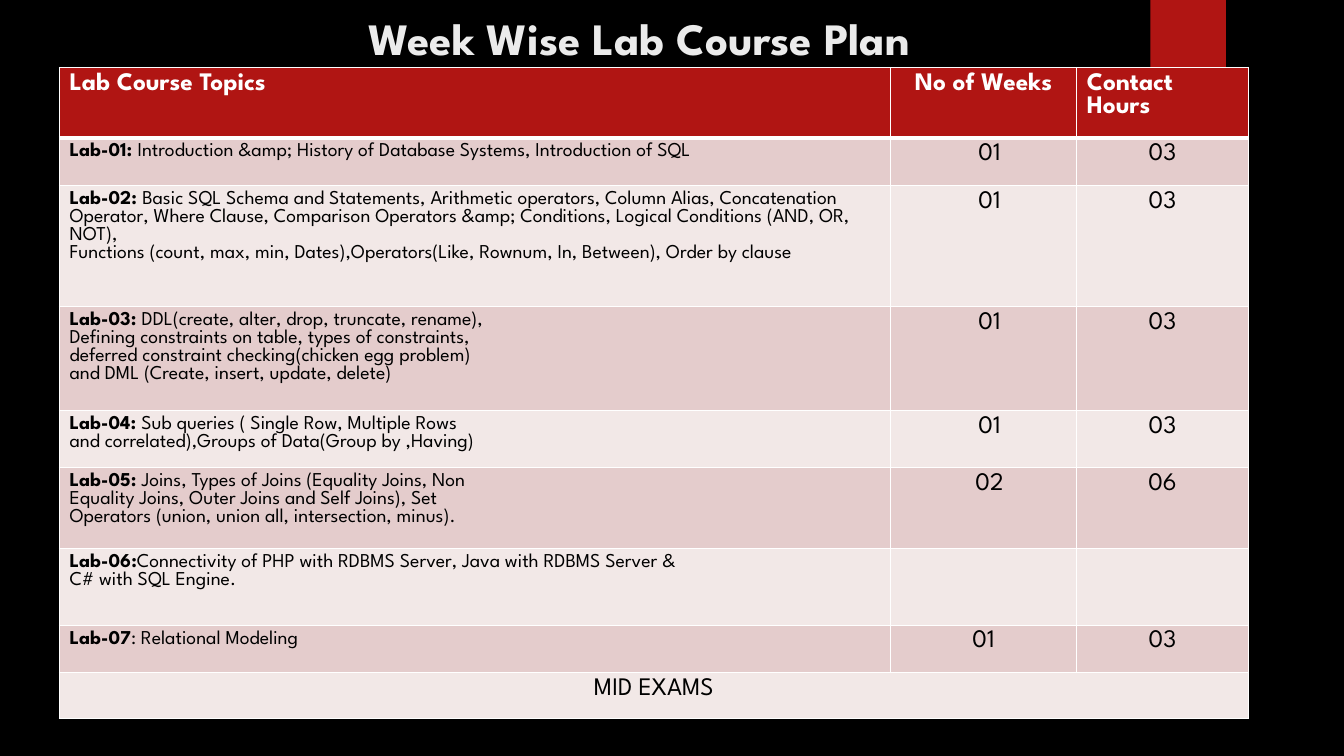
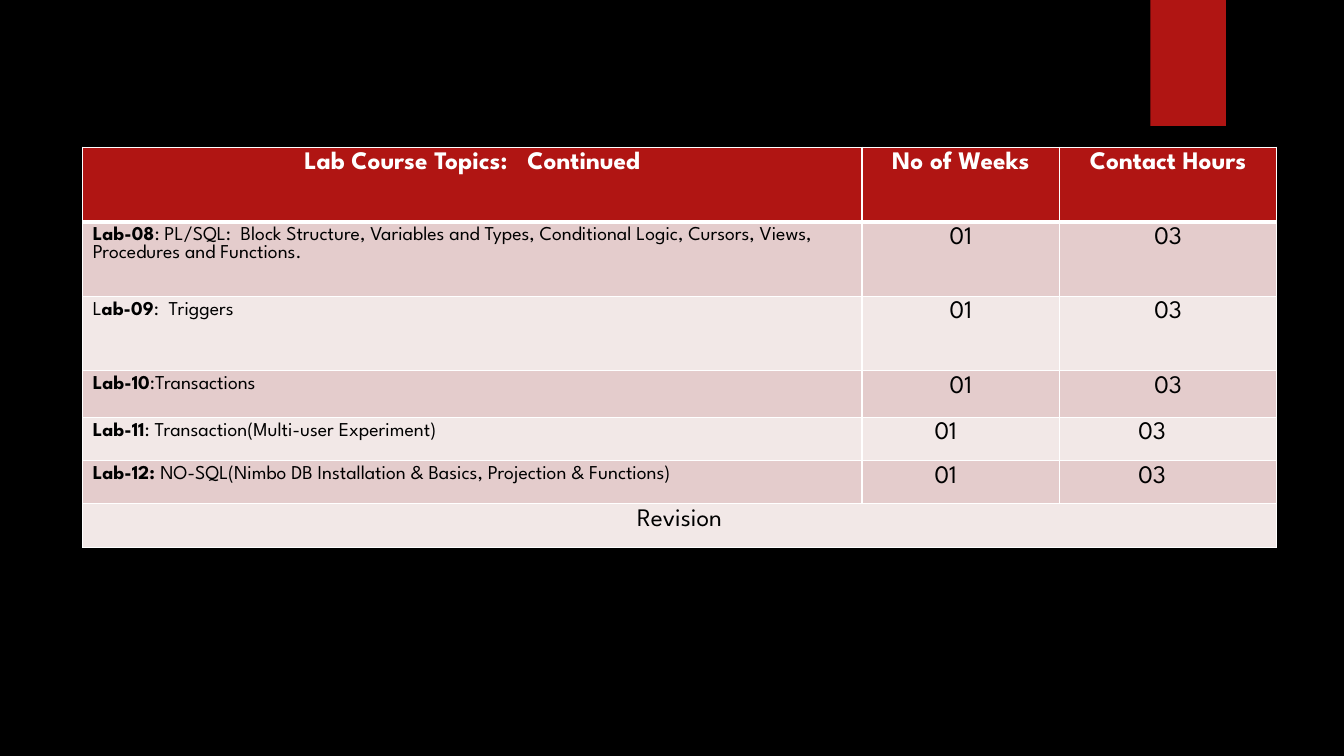
from dataclasses import dataclass

from lxml.etree import SubElement
from pptx import Presentation
from pptx.dml.color import RGBColor
from pptx.enum.shapes import MSO_SHAPE
from pptx.enum.text import MSO_ANCHOR, PP_ALIGN
from pptx.oxml.ns import qn
from pptx.util import Inches, Pt

# Shared look
FONT = "League Spartan"
BLACK, WHITE, RED, TITLE_GREY = "000000", "FFFFFF", "B01513", "EBEBEB"
BANDS = ("E4CCCC", "F2E8E7")
LEFT, CENTER = PP_ALIGN.LEFT, PP_ALIGN.CENTER
CELL_PAD = 0.1


@dataclass
class Lab:
    """One table row; ** in the topic switches bold on and off."""
    height: float
    topic: str
    weeks: str = ""
    hours: str = ""
    pads: tuple = (CELL_PAD, CELL_PAD)
    align: PP_ALIGN = CENTER


NUDGED = (0.22, CELL_PAD)    # weeks sit slightly right of centre
INDENTED = (0.72, 0.78)      # numbers indented from the left

FIRST_HALF = [
    Lab(0.47, "**Lab-01: **Introduction &amp; History of Database Systems, "
        "Introduction of SQL", "01", "03", NUDGED),
    Lab(1.2, "**Lab-02: **Basic SQL Schema and Statements, Arithmetic operators, "
        "Column Alias, Concatenation Operator, Where Clause, Comparison Operators "
        "&amp; Conditions, Logical Conditions (AND, OR, NOT),\n"
        "Functions (count, max, min, Dates),Operators(Like, Rownum, In, Between), "
        "Order by clause", "01", "03", NUDGED),
    Lab(0.98, "**Lab-03: **DDL(create, alter, drop, truncate, rename),\n"
        "Defining constraints on table, types of constraints,\n"
        "deferred constraint checking(chicken egg problem)\n"
        "and DML (Create, insert, update, delete)", "01", "03", NUDGED),
    Lab(0.54, "**Lab-04: **Sub queries ( Single Row, Multiple Rows\n"
        "and correlated),Groups of Data(Group by ,Having)", "01", "03", NUDGED),
    Lab(0.76, "**Lab-05: **Joins, Types of Joins (Equality Joins, Non\n"
        "Equality Joins, Outer Joins and Self Joins), Set\n"
        "Operators (union, union all, intersection, minus).", "02", "06", NUDGED),
    Lab(0.76, "**Lab-06:**Connectivity of PHP with RDBMS Server, "
        "Java with RDBMS Server &\nC# with SQL Engine."),
    Lab(0.47, "**Lab-07**: Relational Modeling", "01", "03"),
]
SECOND_HALF = [
    Lab(0.74, "**Lab-08**: PL/SQL:  Block Structure, Variables and Types, "
        "Conditional Logic, Cursors, Views, Procedures and Functions.", "01", "03"),
    Lab(0.74, "L**ab-09**:  Triggers", "01", "03"),
    Lab(0.46, "**Lab-10**:Transactions", "01", "03"),
    Lab(0.43, "**Lab-11**: Transaction(Multi-user Experiment)",
        "01", "03", INDENTED, LEFT),
    Lab(0.43, "**Lab-12: **NO-SQL(Nimbo DB Installation & Basics, "
        "Projection & Functions)", "01", "03", INDENTED, LEFT),
]


def rgb(color):
    return RGBColor.from_string(color)


def write(tf, text, size=18, color=BLACK, bold=False, align=LEFT):
    """Fill a text frame: newlines split paragraphs, ** toggles bold."""
    tf.word_wrap = True
    for i, line in enumerate(text.split("\n")):
        p = tf.paragraphs[0] if i == 0 else tf.add_paragraph()
        p.alignment = align
        for j, part in enumerate(line.split("**")):
            if part:
                r = p.add_run()
                r.text = part
                r.font.name, r.font.size = FONT, Pt(size)
                r.font.bold = bold or j % 2 == 1
                r.font.color.rgb = rgb(color)


def paint_cell(cell, fill, top=1, bottom=1):
    """White borders first, then the fill, as the schema orders them."""
    tc_pr = cell._tc.get_or_add_tcPr()
    for side, width in (("L", 1), ("R", 1), ("T", top), ("B", bottom)):
        ln = SubElement(tc_pr, qn(f"a:ln{side}"), w=str(Pt(width)))
        solid = SubElement(ln, qn("a:solidFill"))
        SubElement(solid, qn("a:srgbClr"), val=WHITE)
    cell.fill.solid()
    cell.fill.fore_color.rgb = rgb(fill)


def add_base_slide(prs):
    """Blank slide with the red ribbon."""
    s = prs.slides.add_slide(prs.slide_layouts[6])
    ribbon = s.shapes.add_shape(MSO_SHAPE.RECTANGLE, Inches(11.41), 0,
                                Inches(0.75), Inches(1.25))
    ribbon.shadow.inherit = False
    ribbon.fill.solid()
    ribbon.fill.fore_color.rgb = rgb(RED)
    ribbon.line.fill.background()
    return s


def add_title(s, text):
    sp = s.shapes.add_textbox(Inches(0.59), 0, Inches(11.5), Inches(0.74))
    sp.text_frame.vertical_anchor = MSO_ANCHOR.MIDDLE
    write(sp.text_frame, text, size=32, color=TITLE_GREY, bold=True, align=CENTER)


def add_plan(s, left, top, widths, header, header_height, labs, closing, closing_height):
    """Course table: header of (text, align), lab rows and a merged closing row."""
    heights = [header_height, *(lab.height for lab in labs), closing_height]
    table = s.shapes.add_table(len(heights), len(widths), Inches(left), Inches(top),
                               Inches(sum(widths)), Inches(sum(heights))).table
    for column, width in zip(table.columns, widths):
        column.width = Inches(width)
    for i, height in enumerate(heights):
        table.rows[i].height = Inches(height)
        for cell in table.rows[i].cells:
            paint_cell(cell, BANDS[(i - 1) % 2] if i else RED,
                       top=3 if i == 1 else 1, bottom=1 if i else 3)

    for cell, (text, align) in zip(table.rows[0].cells, header):
        write(cell.text_frame, text, color=WHITE, bold=True, align=align)

    for i, lab in enumerate(labs, 1):
        write(table.cell(i, 0).text_frame, lab.topic, size=14)
        for j, (number, pad) in enumerate(zip((lab.weeks, lab.hours), lab.pads), 1):
            cell = table.cell(i, j)
            cell.margin_left = Inches(pad)
            write(cell.text_frame, number, align=lab.align)

    last = len(heights) - 1
    table.cell(last, 0).merge(table.cell(last, len(widths) - 1))
    write(table.cell(last, 0).text_frame, closing, align=CENTER)


def main():
    prs = Presentation()
    prs.slide_width, prs.slide_height = Inches(13.33), Inches(7.5)
    background = prs.slide_master.background.fill
    background.solid()
    background.fore_color.rgb = rgb(BLACK)

    # Labs 1 to 7
    s = add_base_slide(prs)
    add_title(s, "Week Wise Lab Course Plan")
    add_plan(s, 0.59, 0.67, (8.24, 1.85, 1.7),
             (("Lab Course Topics", LEFT), ("No of Weeks", CENTER),
              ("Contact Hours", LEFT)),
             0.66, FIRST_HALF, "MID EXAMS", 0.46)

    # Labs 8 to 12
    s = add_base_slide(prs)
    add_plan(s, 0.82, 1.46, (7.73, 1.96, 2.15),
             (("Lab Course Topics:   Continued", CENTER), ("No of Weeks", CENTER),
              ("Contact Hours", CENTER)),
             0.74, SECOND_HALF, "Revision", 0.43)

    prs.save("out.pptx")


if __name__ == "__main__":
    main()
